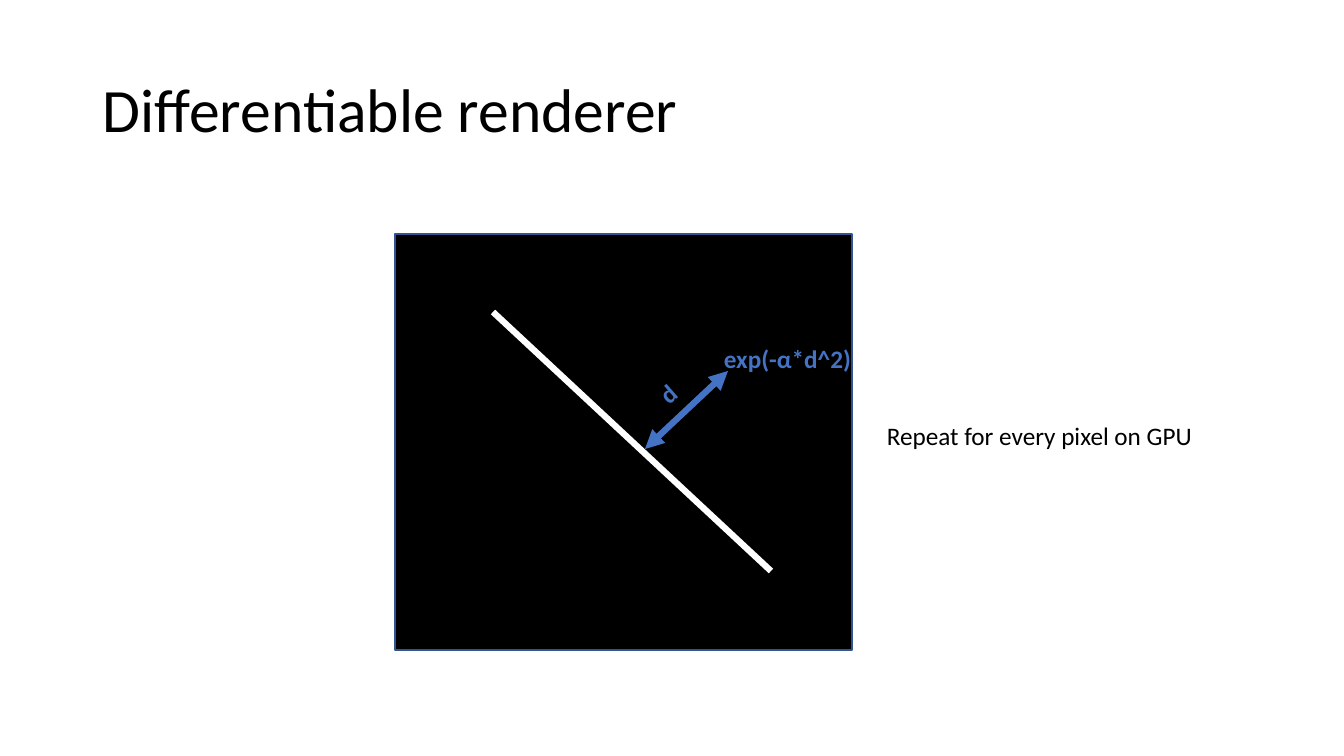
from pptx import Presentation
from pptx.dml.color import RGBColor
from pptx.enum.shapes import MSO_CONNECTOR, MSO_SHAPE
from pptx.enum.text import MSO_ANCHOR
from pptx.oxml.ns import qn
from pptx.util import Pt
from lxml.etree import SubElement

EMU_PER_PIXEL = 914400 / 100.8
SLIDE_SIZE = (1344, 756)
FONT = "Calibri"
COLORS = {"black": "000000", "white": "FFFFFF", "blue": "4472C4", "border": "325491"}

CANVAS = (395, 234, 457, 416)
# start, end, color, has arrowheads
LINES = [
    ((493, 312), (771, 571), "white", False),
    ((728, 371), (645, 449), "blue", True),
]
# text, box, format
TEXTS = [
    ("Differentiable renderer", (93, 40, 1159, 146),
     {"size": 44, "anchor": MSO_ANCHOR.MIDDLE, "line_spacing": 0.9}),
    ("d", (650, 371, 42, 40), {"color": "blue", "bold": True, "rotation": 319}),
    ("exp(-α*d^2)", (714, 338, 191, 40), {"color": "blue", "bold": True}),
    ("Repeat for every pixel on GPU", (877, 415, 346, 40), {}),
]


def emu(*pixels):
    """Turn pixel lengths into a list of EMU lengths."""
    return [round(pixel * EMU_PER_PIXEL) for pixel in pixels]


def rgb(name):
    """Return the named color."""
    return RGBColor.from_string(COLORS[name])


def add_text(slide, text, box, size=18, color="black", bold=False, rotation=0,
             anchor=MSO_ANCHOR.TOP, line_spacing=1.0):
    """Add a text box with one formatted paragraph."""
    shape = slide.shapes.add_textbox(*emu(*box))
    shape.rotation = rotation
    frame = shape.text_frame
    frame.word_wrap = True
    frame.vertical_anchor = anchor
    paragraph = frame.paragraphs[0]
    paragraph.line_spacing = line_spacing
    run = paragraph.add_run()
    run.text = text
    run.font.name = FONT
    run.font.size = Pt(size)
    run.font.bold = bold
    run.font.color.rgb = rgb(color)


def add_canvas(slide, box):
    """Add the black rectangle that stands for the rendered image."""
    shape = slide.shapes.add_shape(MSO_SHAPE.RECTANGLE, *emu(*box))
    shape.shadow.inherit = False
    shape.fill.solid()
    shape.fill.fore_color.rgb = rgb("black")
    shape.line.color.rgb = rgb("border")
    shape.line.width = Pt(1)


def add_line(slide, start, end, color, arrows):
    """Add a thick straight line, with arrowheads at both ends if asked."""
    connector = slide.shapes.add_connector(MSO_CONNECTOR.STRAIGHT, *emu(*start, *end))
    connector.line.color.rgb = rgb(color)
    connector.line.width = Pt(4.5)
    properties = connector._element.spPr
    if arrows:
        for tag in ("a:headEnd", "a:tailEnd"):
            SubElement(properties.find(qn("a:ln")), qn(tag), type="triangle")
    SubElement(properties, qn("a:effectLst"))


presentation = Presentation()
presentation.slide_width, presentation.slide_height = emu(*SLIDE_SIZE)
slide = presentation.slides.add_slide(presentation.slide_layouts[6])
add_canvas(slide, CANVAS)
for line in LINES:
    add_line(slide, *line)
for text, box, style in TEXTS:
    add_text(slide, text, box, **style)
presentation.save("out.pptx")
